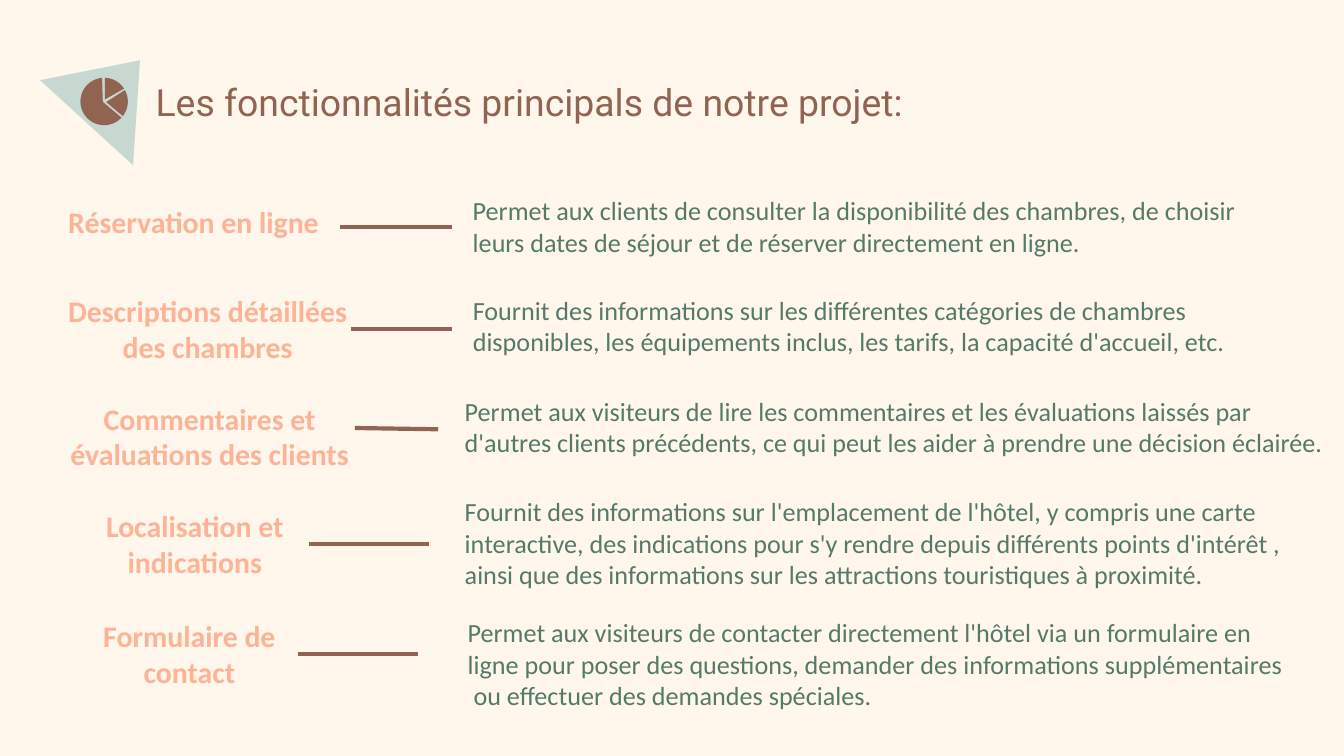
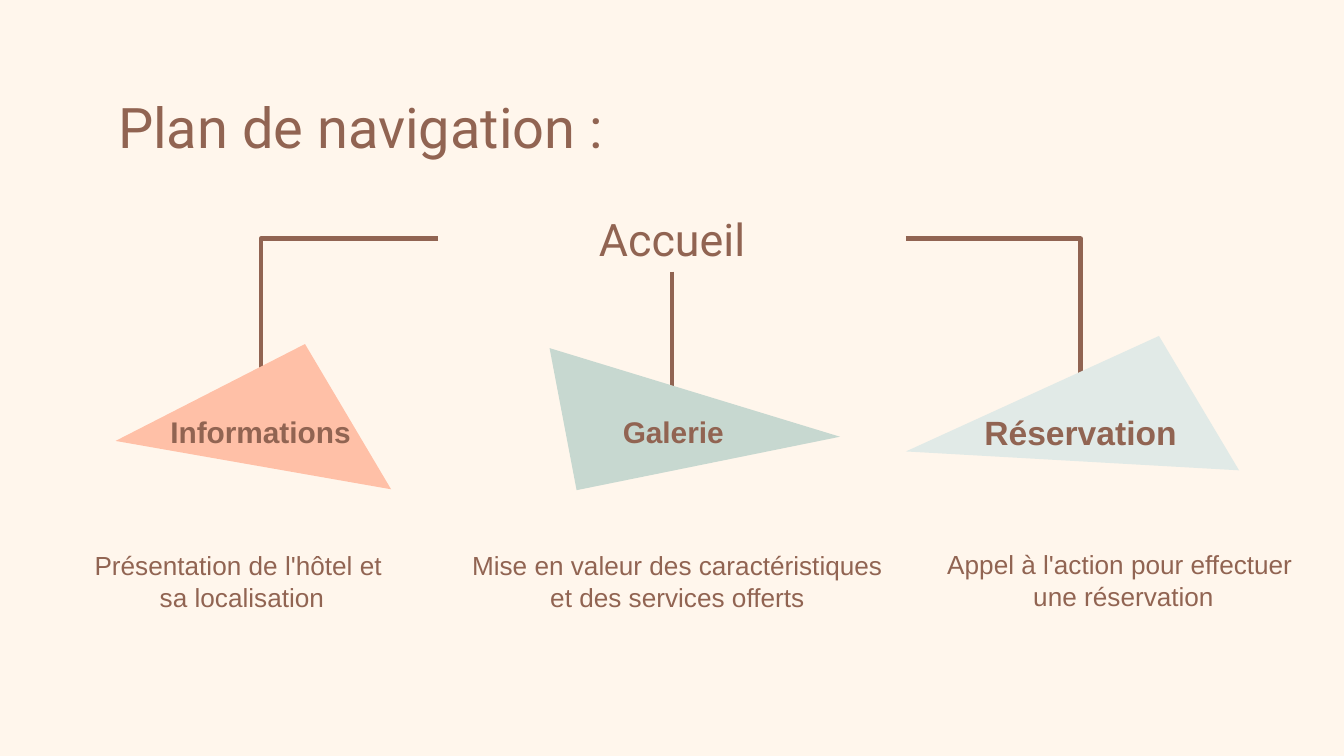
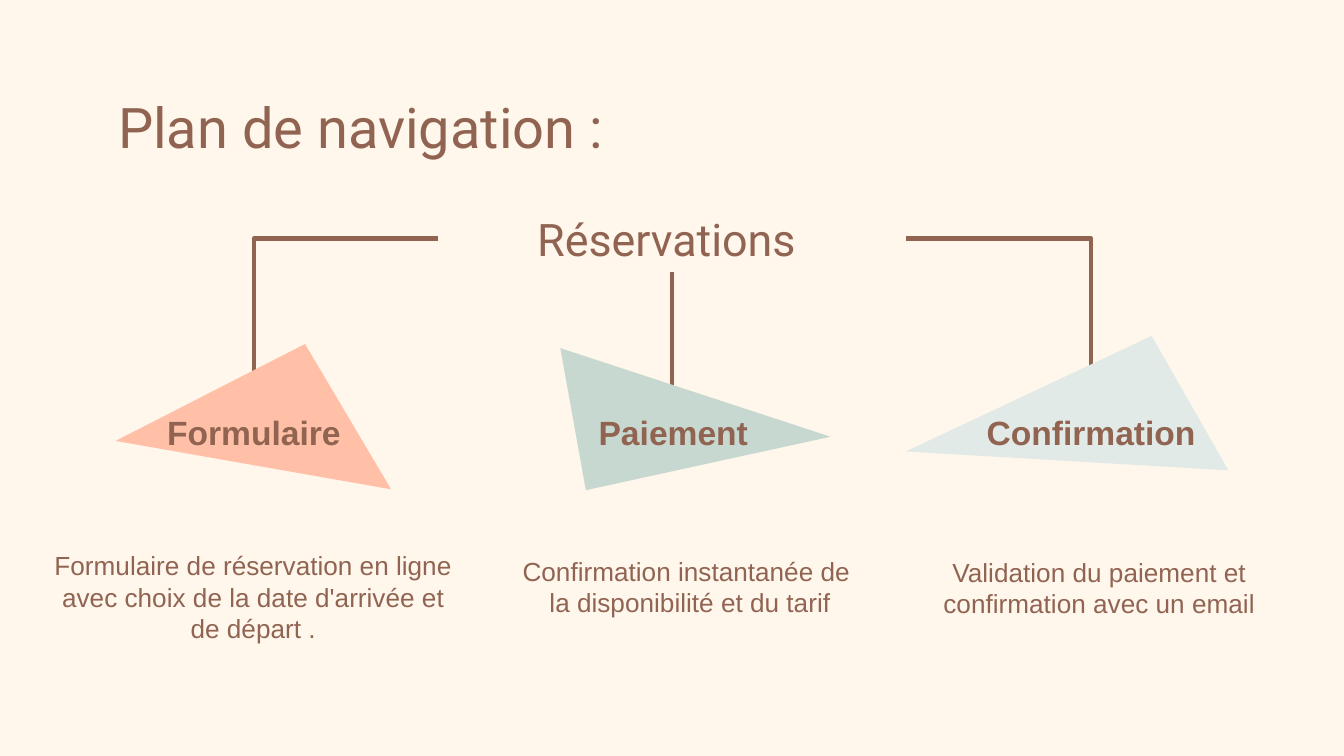
"""Build three slides on the features and navigation of a hotel site."""
import math

from lxml import etree
from pptx import Presentation
from pptx.dml.color import RGBColor
from pptx.enum.shapes import MSO_CONNECTOR, MSO_SHAPE
from pptx.enum.text import MSO_ANCHOR, PP_ALIGN
from pptx.oxml.ns import qn
from pptx.util import Pt

STRAIGHT, ELBOW = MSO_CONNECTOR.STRAIGHT, MSO_CONNECTOR.ELBOW
ROUNDED = MSO_SHAPE.ROUNDED_RECTANGLE
LEFT, CENTER = PP_ALIGN.LEFT, PP_ALIGN.CENTER
TOP, MIDDLE = MSO_ANCHOR.TOP, MSO_ANCHOR.MIDDLE
LEFT_SIDE, BOTTOM_SIDE, RIGHT_SIDE = 1, 2, 3

COLORS = {
    "cream": "FFF6EC", "brown": "916452", "salmon": "FDB396", "green": "557A69",
    "peach": "FFC0A7", "sage": "C7D8D0", "mist": "E1EAE7",
}


def style(font, size, color, align=LEFT, anchor=TOP, inset=7.2, bold=False):
    """Describe one kind of text as format values for font, paragraph and frame."""
    return {
        "font": {"name": font, "size": Pt(size), "bold": bold},
        "color": color,
        "paragraph": {"alignment": align},
        "frame": {"word_wrap": True, "vertical_anchor": anchor,
                  "margin_left": Pt(7.2), "margin_right": Pt(7.2),
                  "margin_top": Pt(inset), "margin_bottom": Pt(inset)},
    }


STYLES = {
    "features title": style("Roboto", 20, "brown"),
    "plan title": style("Roboto", 30, "brown"),
    "feature": style("Calibri", 16, "salmon", CENTER, MIDDLE, bold=True),
    "description": style("Calibri", 14, "green", inset=3.6),
    "root": style("Roboto", 24, "brown", CENTER, MIDDLE),
    "small page": style("Arial", 16, "brown", CENTER, MIDDLE, bold=True),
    "page": style("Arial", 18, "brown", CENTER, MIDDLE, bold=True),
    "caption": style("Arial", 14, "brown", CENTER, inset=3.6),
}

LABEL_HEIGHT = 29.5
FEATURES = [
    ((28.8, 103.7, 149.8), "Réservation en ligne", (182.2, 121.7, 241.9, 121.7),
     (246.2, 100.8, 427.7, 41),
     ["Permet aux clients de consulter la disponibilité des chambres, de choisir "
      "leurs dates de séjour et de réserver directement en ligne."]),
    ((28.8, 161.3, 164.9), "Descriptions détaillées des chambres",
     (187.9, 176.4, 241.9, 176.4), (246.2, 154.1, 432.7, 41),
     ["Fournit des informations sur les différentes catégories de chambres "
      "disponibles, les équipements inclus, les tarifs, la capacité d'accueil, etc."]),
    ((27.4, 218.9, 169.9), "Commentaires et évaluations des clients",
     (190.1, 229.3, 234.7, 230), (241.9, 208.1, 492.5, 41),
     ["Permet aux visiteurs de lire les commentaires et les évaluations laissés par",
      "d'autres clients précédents, ce qui peut les aider à prendre une décision éclairée."]),
    ((43.2, 276.5, 122.4), "Localisation et indications",
     (165.6, 291.25, 229.7, 291.25), (241.9, 262.1, 484.6, 58.3),
     ["Fournit des informations sur l'emplacement de l'hôtel, y compris une carte "
      "interactive, des indications pour s'y rendre depuis différents points d'intérêt ,",
      "ainsi que des informations sur les attractions touristiques à proximité."]),
    ((43.2, 335.5, 116.6), "Formulaire de contact",
     (159.8, 350.25, 223.9, 350.25), (243.4, 326.9, 471.6, 58.3),
     ["Permet aux visiteurs de contacter directement l'hôtel via un formulaire en",
      "ligne pour poser des questions, demander des informations supplémentaires",
      "ou effectuer des demandes spéciales."]),
]

PEACH_TRIANGLE = [(61.9, 236.2), (163.4, 184.3), (209.5, 262.1)]
PLANS = [
    {"root": "Accueil", "elbows": (139.7, 578.9),
     "triangles": {"mist": [(485.3, 241.9), (620.9, 180), (663.8, 252)],
                   "sage": [(450, 234), (308.9, 262.6), (294.4, 186.5)],
                   "peach": PEACH_TRIANGLE},
     "pages": [("Informations", "small page", 69.8, 139.7),
               ("Galerie", "small page", 281.5, 158.4),
               ("Réservation", "page", 499.7, 158.4)],
     "captions": [((23.8, 290.9, 211.7, 41),
                   ["Présentation de l'hôtel et ", "sa localisation"]),
                  ((243.4, 290.9, 239, 41),
                   ["Mise en valeur des caractéristiques et des services offerts"]),
                  ((476.6, 290.5, 250.6, 41),
                   ["Appel à l'action pour effectuer ", "une réservation"])]},
    {"root": "Réservations ", "elbows": (136.1, 584.6),
     "triangles": {"mist": [(485.3, 241.9), (617, 180), (658.1, 252)],
                   "sage": [(445, 234), (313.9, 262.6), (300.2, 186.5)],
                   "peach": PEACH_TRIANGLE},
     "pages": [("Formulaire", "page", 56.9, 158.4),
               ("Paiement", "page", 281.5, 158.4),
               ("Confirmation", "page", 505.4, 158.4)],
     "captions": [((18, 290.9, 235.4, 58.3),
                   ["Formulaire de réservation en ligne avec choix de la date "
                    "d'arrivée et de départ ."]),
                  ((237.6, 293.8, 264.2, 41),
                   ["Confirmation instantanée de ", "la disponibilité et du tarif"]),
                  ((498.2, 294.5, 181.4, 54),
                   ["Validation du paiement et confirmation avec un email"])]},
]


def rgb(name):
    """Return the named colour."""
    return RGBColor.from_string(COLORS[name])


def apply(target, values):
    """Set each format value on the target."""
    for name, value in values.items():
        setattr(target, name, value)


def write(holder, lines, style_name):
    """Write lines as paragraphs of the holder in the named style."""
    look = STYLES[style_name]
    frame = holder.text_frame
    apply(frame, look["frame"])
    frame.text = "\n".join(lines)
    for paragraph in frame.paragraphs:
        apply(paragraph, look["paragraph"])
        apply(paragraph.font, look["font"])
        paragraph.font.color.rgb = rgb(look["color"])


def add_text(slide, box, lines, style_name):
    """Add a text box with the given lines."""
    holder = slide.shapes.add_textbox(*map(Pt, box))
    write(holder, lines, style_name)
    return holder


def add_feature_label(slide, left, top, width, name):
    """Add the unfilled block that names a feature."""
    label = slide.shapes.add_shape(ROUNDED, *map(Pt, (left, top, width, LABEL_HEIGHT)))
    label.adjustments[0] = 0
    label.shadow.inherit = False
    label.fill.background()
    label.line.fill.background()
    write(label, [name], "feature")
    return label


def add_line(slide, ends, kind=STRAIGHT):
    """Add a brown connector between two points."""
    line = slide.shapes.add_connector(kind, *map(Pt, ends))
    line.line.color.rgb = rgb("brown")
    line.line.width = Pt(2.25)
    properties = line._element.spPr
    etree.SubElement(properties, qn("a:effectLst"))
    if kind == ELBOW:
        properties.find(qn("a:prstGeom")).set("prst", "bentConnector2")
    return line


def add_polygon(slide, points, color):
    """Add a filled closed outline through the points."""
    start, *others = [(Pt(x), Pt(y)) for x, y in points]
    builder = slide.shapes.build_freeform(*start)
    builder.add_line_segments(others)
    polygon = builder.convert_to_shape()
    polygon.shadow.inherit = False
    polygon.fill.solid()
    polygon.fill.fore_color.rgb = rgb(color)
    polygon.line.fill.background()


def add_pie_slice(slide, apex, first, last):
    """Add a slice of the pie icon between two clockwise angles from the top."""
    center_x, center_y, radius, steps = 55.8, 54.4, 12.7, 30
    angles = [math.radians(first + (last - first) * i / steps) for i in range(steps + 1)]
    arc = [(center_x + radius * math.sin(a), center_y - radius * math.cos(a))
           for a in angles]
    add_polygon(slide, [apex, *arc], "brown")


def add_slide(deck):
    """Add a blank slide on the cream background."""
    slide = deck.slides.add_slide(deck.slide_layouts[6])
    slide.background.fill.solid()
    slide.background.fill.fore_color.rgb = rgb("cream")
    return slide


def add_features_slide(deck):
    """Add the slide that lists the main features."""
    slide = add_slide(deck)
    add_text(slide, (76.3, 35.3, 607.7, 45.4),
             ["Les fonctionnalités principals de notre projet:"], "features title")
    add_polygon(slide, [(21.5, 43), (75, 32.3), (71.3, 88.5)], "sage")
    for apex, first, last in [((56.9, 54.7), 61, 128), ((56.2, 53.3), 2, 57),
                              ((55.1, 54.6), 133, 355)]:
        add_pie_slice(slide, apex, first, last)
    for place, name, ends, box, lines in FEATURES:
        label = add_feature_label(slide, *place, name)
        link = add_line(slide, ends)
        if math.isclose(ends[0], place[0] + place[2]):
            link.begin_connect(label, RIGHT_SIDE)
        description = add_text(slide, box, lines, "description")
    closing_line = description.text_frame.paragraphs[-1]
    closing_line._p.get_or_add_pPr().set("marL", str(Pt(3.2)))


def add_plan_slide(deck, plan):
    """Add a navigation plan with one root and three pages."""
    slide = add_slide(deck)
    add_text(slide, (56.2, 42.5, 607.7, 45.4), ["Plan de navigation :"], "plan title")
    root = add_text(slide, (234.7, 110.2, 250.6, 35.3), [plan["root"]], "root")
    bottom = 213.8
    for start, side, corner in zip((234.7, 485.3), (LEFT_SIDE, RIGHT_SIDE), plan["elbows"]):
        branch = add_line(slide, (start, 127.85, corner, bottom), ELBOW)
        branch.begin_connect(root, side)
    trunk = add_line(slide, (360, 145.5, 360, bottom))
    trunk.begin_connect(root, BOTTOM_SIDE)
    for color, corners in plan["triangles"].items():
        add_polygon(slide, corners, color)
    for name, style_name, left, width in plan["pages"]:
        add_text(slide, (left, bottom, width, 35.3), [name], style_name)
    for box, lines in plan["captions"]:
        add_text(slide, box, lines, "caption")


def main():
    """Build and save the deck."""
    deck = Presentation()
    deck.slide_width, deck.slide_height = Pt(720), Pt(405)
    add_features_slide(deck)
    for plan in PLANS:
        add_plan_slide(deck, plan)
    deck.save("out.pptx")


if __name__ == "__main__":
    main()
